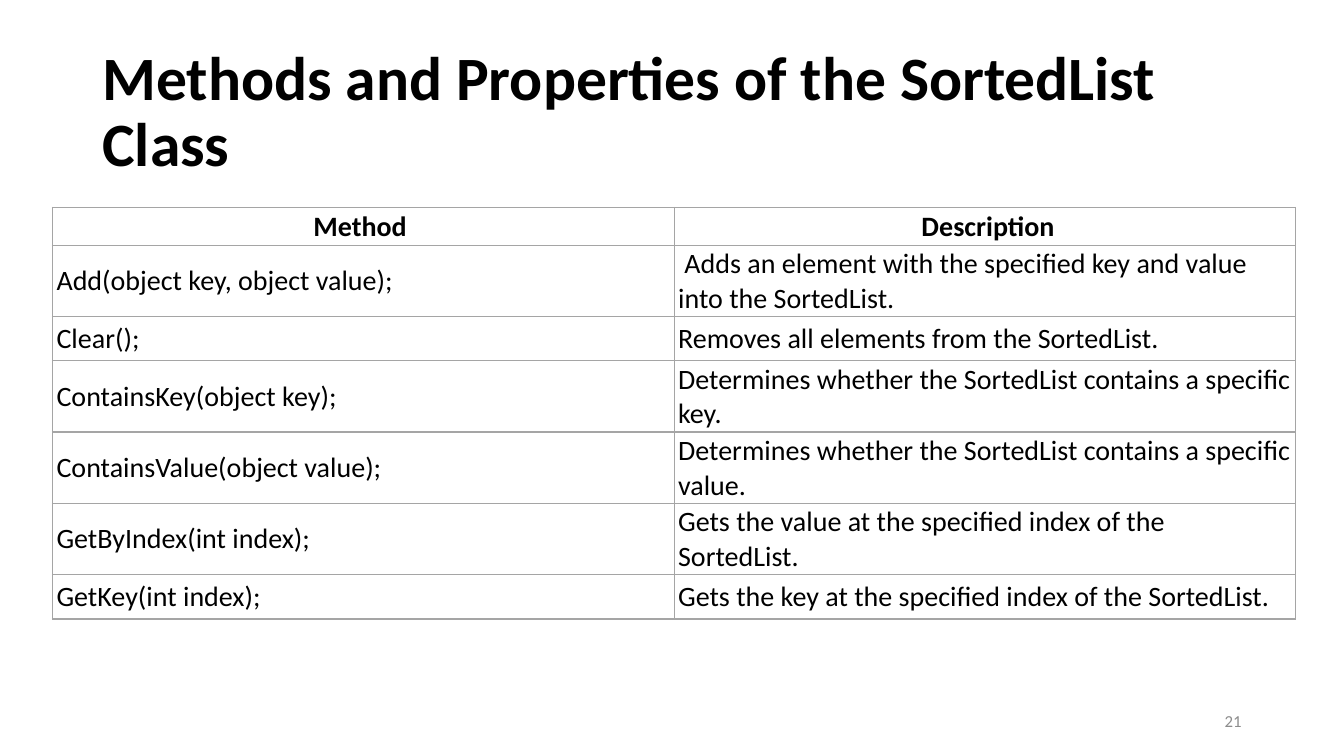
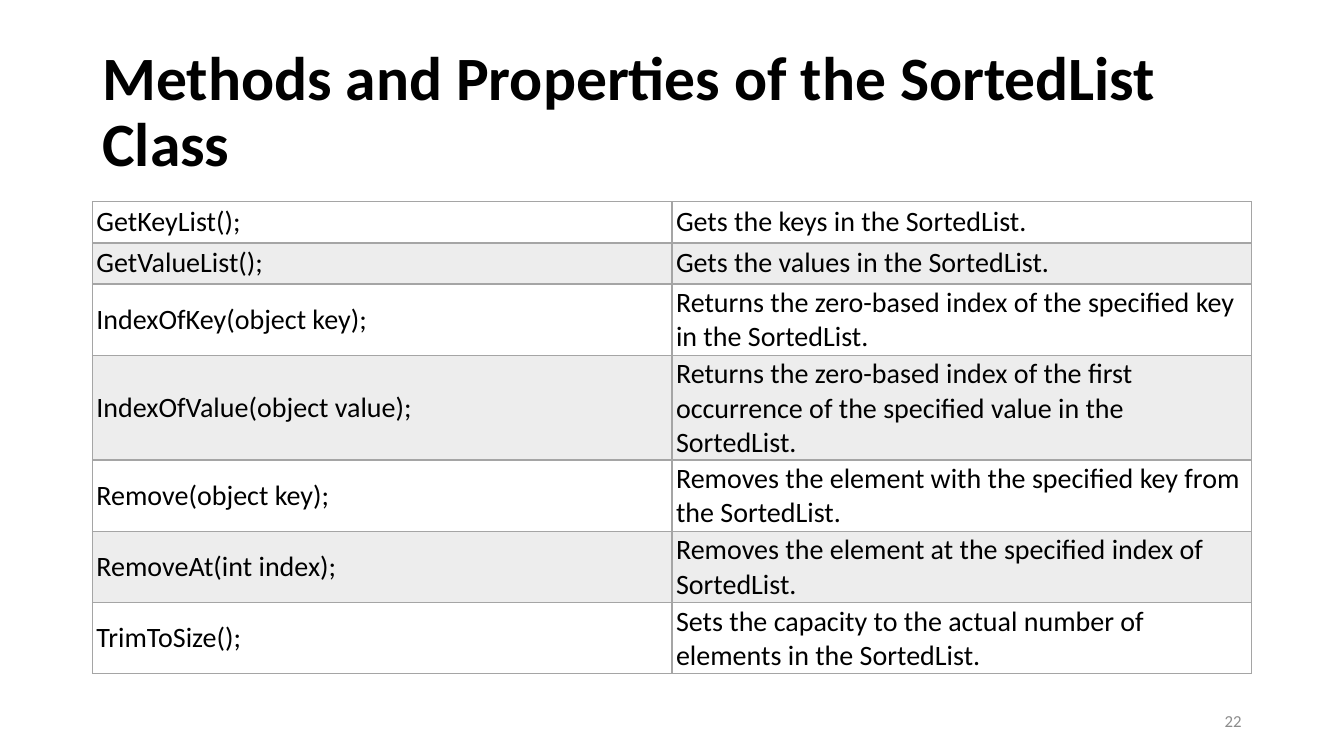
from pptx import Presentation
from pptx.dml.color import RGBColor
from pptx.enum.text import MSO_ANCHOR, PP_ALIGN
from pptx.oxml import parse_xml
from pptx.oxml.ns import nsdecls
from pptx.util import Inches, Pt

BLACK = RGBColor(0x00, 0x00, 0x00)
WHITE = RGBColor(0xFF, 0xFF, 0xFF)
GREY = RGBColor(0x8C, 0x8C, 0x8C)
BAND = RGBColor(0xED, 0xED, 0xED)
RULE = RGBColor(0xA5, 0xA5, 0xA5)
FONT = "Calibri"
TITLE = "Methods and Properties of the SortedList Class"

deck = Presentation()
deck.slide_width = Inches(13.33)
deck.slide_height = Inches(7.5)
COL = deck.slide_width / 160
ROW = deck.slide_height / 90


def write(frame, text, size, color, bold=False, align=PP_ALIGN.LEFT):
    frame.text = text
    frame.word_wrap = True
    line = frame.paragraphs[0]
    line.alignment = align
    font = line.runs[0].font
    font.name, font.size, font.bold = FONT, Pt(size), bold
    font.color.rgb = color
    return line


def place(slide, left, top, wide, high):
    box = slide.shapes.add_textbox(
        int(left * COL), int(top * ROW), int(wide * COL), int(high * ROW))
    box.text_frame.vertical_anchor = MSO_ANCHOR.MIDDLE
    return box.text_frame


pages = [
    dict(num="21", left=6.25, top=24.7, wide=148, head=True,
         rows=[3, 7.5, 5.3, 7.5, 7.5, 5.3, 5.3],
         cells=[
             ("Method ", " Description"),
             ("Add(object key, object value);",
              " Adds an element with the specified key and value into the SortedList."),
             ("Clear();", "Removes all elements from the SortedList."),
             ("ContainsKey(object key);",
              "Determines whether the SortedList contains a specific key."),
             ("ContainsValue(object value);",
              "Determines whether the SortedList contains a specific value."),
             ("GetByIndex(int index);",
              "Gets the value at the specified index of the SortedList."),
             ("GetKey(int index);",
              "Gets the key at the specified index of the SortedList."),
         ]),
    dict(num="22", left=11, top=24, wide=138, head=False,
         rows=[4.9] * 7,
         cells=[
             ("GetKeyList();", "Gets the keys in the SortedList."),
             ("GetValueList();", "Gets the values in the SortedList."),
             ("IndexOfKey(object key);",
              "Returns the zero-based index of the specified key in the SortedList."),
             ("IndexOfValue(object value);",
              "Returns the zero-based index of the first occurrence of the specified value in the SortedList."),
             ("Remove(object key);",
              "Removes the element with the specified key from the SortedList."),
             ("RemoveAt(int index);",
              "Removes the element at the specified index of SortedList."),
             ("TrimToSize();",
              "Sets the capacity to the actual number of elements in the SortedList."),
         ]),
]

for page in pages:
    slide = deck.slides.add_slide(deck.slide_layouts[6])
    title = write(place(slide, 11, 4.8, 138, 17.4), TITLE, 44, BLACK, True)
    title.line_spacing = 0.9

    cells, rows = page["cells"], page["rows"]
    table = slide.shapes.add_table(
        len(cells), 2, int(page["left"] * COL), int(page["top"] * ROW),
        int(page["wide"] * COL), int(sum(rows) * ROW)).table
    table.first_row = page["head"]
    table.horz_banding = not page["head"]

    for r, texts in enumerate(cells):
        table.rows[r].height = int(rows[r] * ROW)
        head = page["head"] and r == 0
        band = not page["head"] and r % 2 == 1
        for c, text in enumerate(texts):
            cell = table.cell(r, c)
            cell.vertical_anchor = MSO_ANCHOR.MIDDLE
            cell.margin_left = cell.margin_right = Inches(0.04)
            cell.margin_top = cell.margin_bottom = Inches(0.02)
            write(cell.text_frame, text, 20, BLACK, head,
                  PP_ALIGN.CENTER if head else PP_ALIGN.LEFT)
            cell.fill.solid()
            cell.fill.fore_color.rgb = BAND if band else WHITE
            props = cell._tc.get_or_add_tcPr()
            for i, side in enumerate("LRTB"):
                thick = not page["head"] and (r, side) in ((0, "B"), (1, "T"))
                props.insert(i, parse_xml(
                    f'<a:ln{side} {nsdecls("a")} w="{Pt(2 if thick else 1)}">'
                    f'<a:solidFill><a:srgbClr val="{RULE}"/></a:solidFill>'
                    f'</a:ln{side}>'))

    write(place(slide, 113, 83.4, 36, 4.8), page["num"], 12, GREY,
          align=PP_ALIGN.RIGHT)

deck.save("out.pptx")
